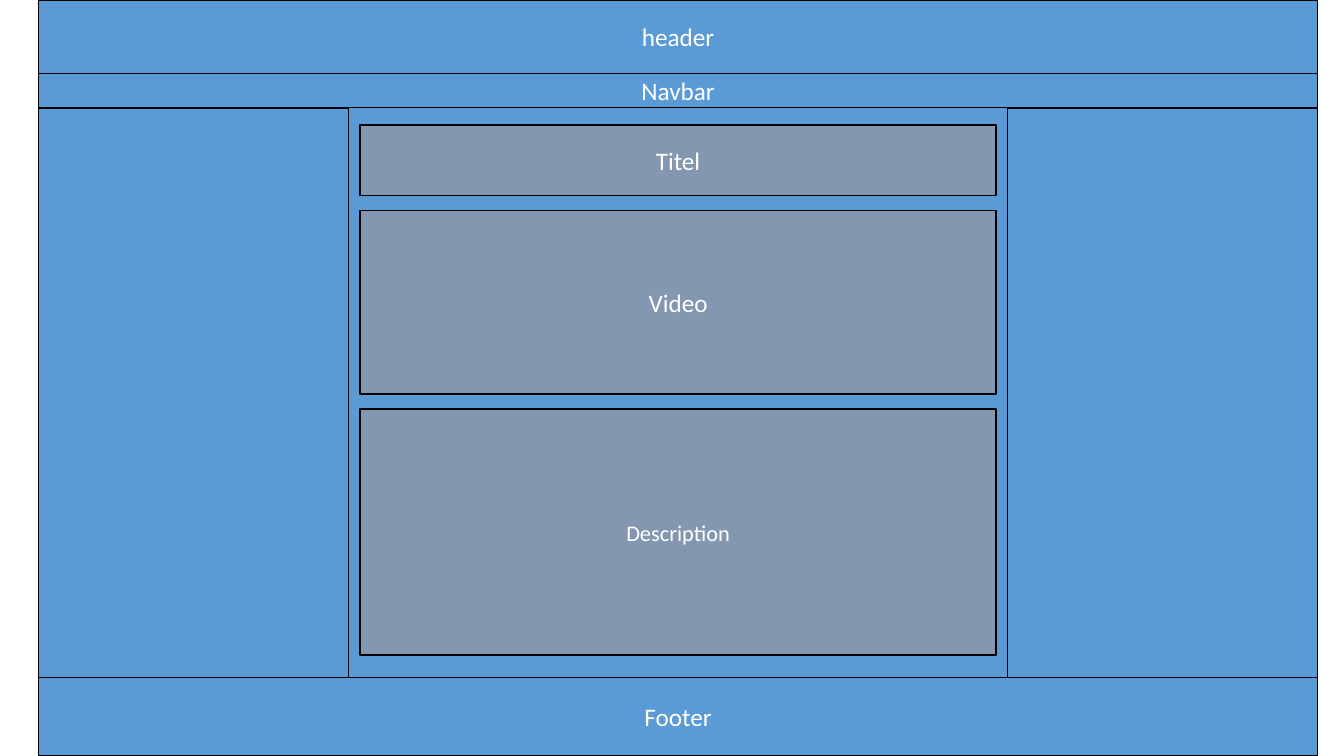
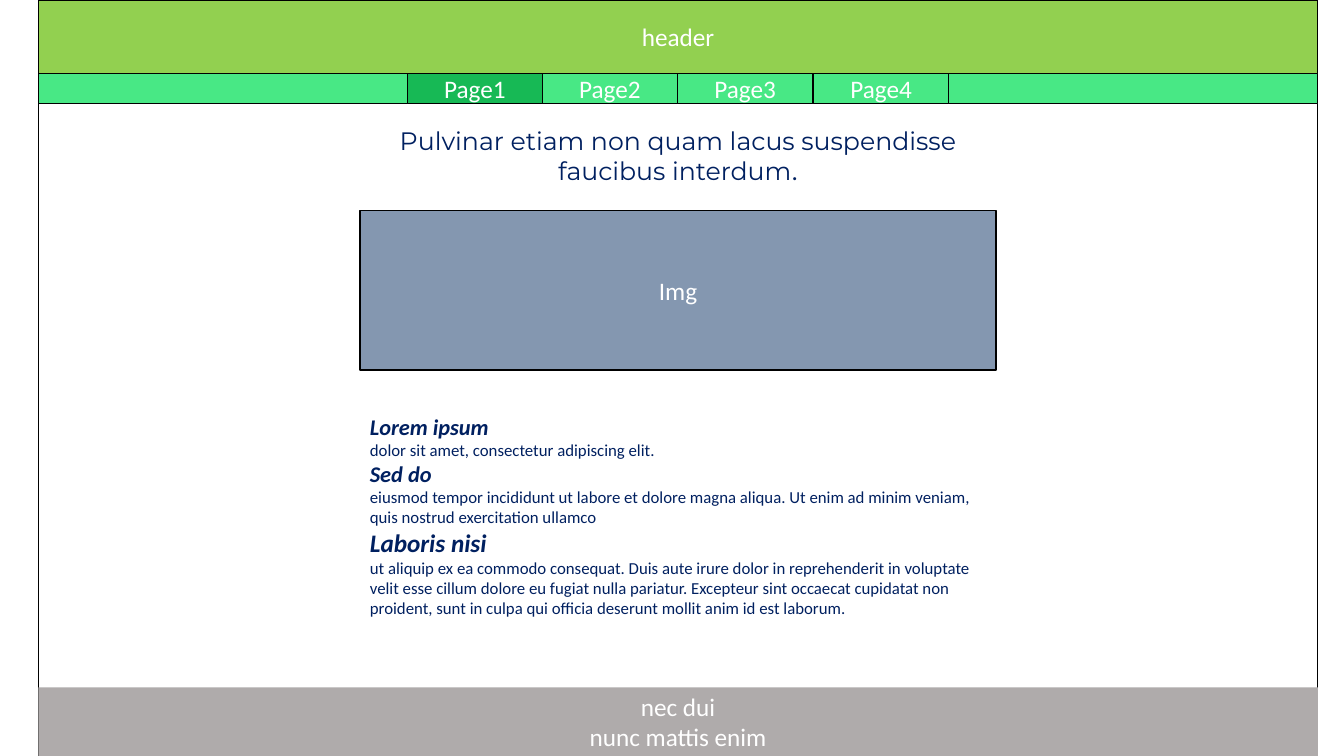
from dataclasses import dataclass
from pptx import Presentation
from pptx.dml.color import RGBColor
from pptx.enum.shapes import MSO_SHAPE
from pptx.enum.text import MSO_ANCHOR, MSO_AUTO_SIZE, PP_ALIGN
from pptx.util import Inches, Pt


@dataclass(frozen=True)
class Theme:
    """Colours, fonts and type sizes of the deck."""
    white: str = "FFFFFF"
    black: str = "000000"
    blue: str = "5B9BD5"
    blue_edge: str = "43739E"
    slate: str = "8497B0"
    lime: str = "92D050"
    mint: str = "48E885"
    green: str = "17B955"
    grey: str = "AFABAB"
    navy: str = "002060"
    font: str = "Calibri"
    title_font: str = "Montserrat"
    label: int = 18
    sub: int = 16
    small: int = 12


@dataclass(frozen=True)
class Box:
    """A rectangle in inches."""
    x: float
    y: float
    w: float
    h: float

    def band(self, y, h):
        """Return a full-width band, y inches below the top of the box."""
        return Box(self.x, self.y + y, self.w, h)

    def column(self, x, w):
        """Return a full-height column, x inches from the left of the box."""
        return Box(self.x + x, self.y, w, self.h)

    def emu(self):
        """Return left, top, width and height as lengths."""
        return [Inches(round(v, 2)) for v in (self.x, self.y, self.w, self.h)]


T = Theme()
PAGE = Box(0.38, 0, 12.69, 7.5)
CONTENT_W = 6.31
CONTENT = PAGE.column((PAGE.w - CONTENT_W) / 2, CONTENT_W)
HEADER_H = 0.73
TITLE_Y = 1.24
MEDIA_Y = 2.09
TEXT_Y = 4.06
SIDE_W = 3.08
TAB_W = 1.34

ARTICLE = [
    ("Lorem ipsum", T.sub, "dolor sit amet, consectetur adipiscing elit."),
    ("Sed do", T.sub,
     "eiusmod tempor incididunt ut labore et dolore magna aliqua. Ut enim ad "
     "minim veniam, quis nostrud exercitation ullamco"),
    ("Laboris nisi", T.label,
     "ut aliquip ex ea commodo consequat. Duis aute irure dolor in "
     "reprehenderit in voluptate velit esse cillum dolore eu fugiat nulla "
     "pariatur. Excepteur sint occaecat cupidatat non proident, sunt in culpa "
     "qui officia deserunt mollit anim id est laborum."),
]


def rgb(color):
    """Turn a hex string into a colour."""
    return RGBColor.from_string(color)


def write(p, text, size=T.label, color=T.white, font=T.font, bold=False,
          italic=False, align=PP_ALIGN.CENTER):
    """Add a formatted run to a paragraph."""
    p.alignment = align
    r = p.add_run()
    r.text = text
    f = r.font
    f.size, f.name, f.bold, f.italic = Pt(size), font, bold, italic
    f.color.rgb = rgb(color)


def next_paragraph(tf):
    """Return the first paragraph while it is empty, else a new one."""
    p = tf.paragraphs[0]
    return tf.add_paragraph() if p.runs else p


def paint(sp, fill, line=T.black):
    """Set the fill and the outline of a shape."""
    sp.fill.solid()
    sp.fill.fore_color.rgb = rgb(fill)
    if line:
        sp.line.color.rgb = rgb(line)
        sp.line.width = Pt(1)
    else:
        sp.line.fill.background()


def block(s, box, fill, *lines, line=T.black, size=T.label):
    """Draw a rectangle with centred lines of text."""
    sp = s.shapes.add_shape(MSO_SHAPE.RECTANGLE, *box.emu())
    sp.shadow.inherit = False
    paint(sp, fill, line)
    tf = sp.text_frame
    tf.vertical_anchor = MSO_ANCHOR.MIDDLE
    for text in lines:
        write(next_paragraph(tf), text, size=size)


def title(s, box, *runs, fill=None):
    """Place the title above the page from (text, format) runs."""
    sp = s.shapes.title
    sp.element.getparent().append(sp.element)
    sp.left, sp.top, sp.width, sp.height = box.emu()
    if fill:
        paint(sp, fill)
    tf = sp.text_frame
    tf.auto_size = MSO_AUTO_SIZE.NONE
    tf.vertical_anchor = MSO_ANCHOR.MIDDLE
    for text, fmt in runs:
        write(tf.paragraphs[0], text, **fmt)


def frame(prs, page_fill, header_fill, edge=T.black):
    """Add a slide with its page and header band."""
    s = prs.slides.add_slide(prs.slide_layouts[5])
    block(s, PAGE, page_fill, line=edge)
    block(s, PAGE.band(0, HEADER_H), header_fill, "header")
    return s


def footer(s, h, fill, *lines, line=T.black):
    """Draw a band of height h along the bottom of the page."""
    block(s, PAGE.band(PAGE.h - h, h), fill, *lines, line=line)


def tabs(s, bar, names, active):
    """Draw the navigation bar with its centred tabs."""
    block(s, bar, T.mint)
    start = (bar.w - TAB_W * len(names)) / 2
    for i, name in enumerate(names):
        fill = T.green if name == active else T.mint
        block(s, bar.column(start + i * TAB_W, TAB_W), fill, name)


def article(s, box, sections):
    """Write headed sections of text in a box."""
    tf = s.shapes.add_textbox(*box.emu()).text_frame
    tf.word_wrap = True
    tf.vertical_anchor = MSO_ANCHOR.MIDDLE
    fmt = {"color": T.navy, "align": PP_ALIGN.LEFT}
    for head, size, body in sections:
        write(next_paragraph(tf), head, size=size, bold=True, italic=True, **fmt)
        write(next_paragraph(tf), body, size=T.small, **fmt)


def wireframe_slide(prs):
    """Build the labelled page layout."""
    nav_h, foot_h = 0.34, 0.78
    s = frame(prs, T.blue, T.blue, edge=T.blue_edge)
    block(s, PAGE.band(HEADER_H, nav_h), T.blue, "Navbar")
    title(s, CONTENT.band(TITLE_Y, 0.7), ("Titel", {}), fill=T.slate)
    footer(s, foot_h, T.blue, "Footer")
    block(s, CONTENT.band(MEDIA_Y, 1.82), T.slate, "Video")
    block(s, CONTENT.band(TEXT_Y, 2.44), T.slate, "Description", size=T.sub)
    top = HEADER_H + nav_h
    body = PAGE.band(top, PAGE.h - top - foot_h)
    for x in (0, body.w - SIDE_W):
        block(s, body.column(x, SIDE_W), T.blue)


def page_slide(prs):
    """Build the page with sample content."""
    s = frame(prs, T.white, T.lime)
    tabs(s, PAGE.band(HEADER_H, 0.3), ["Page1", "Page2", "Page3", "Page4"], "Page1")
    title(s, CONTENT.band(TITLE_Y, 0.61),
          ("Pulvinar etiam non quam lacus suspendisse faucibus interdum",
           {"color": T.navy, "font": T.title_font}),
          (".", {"color": T.navy}))
    footer(s, 0.68, T.grey, "nec dui", "nunc mattis enim", line=None)
    block(s, CONTENT.band(MEDIA_Y, 1.58), T.slate, "Img")
    article(s, CONTENT.band(TEXT_Y, 2.11), ARTICLE)


def main():
    """Build and save the deck."""
    prs = Presentation()
    prs.slide_width, prs.slide_height = Inches(13.33), Inches(7.5)
    wireframe_slide(prs)
    page_slide(prs)
    prs.save("out.pptx")


if __name__ == "__main__":
    main()
